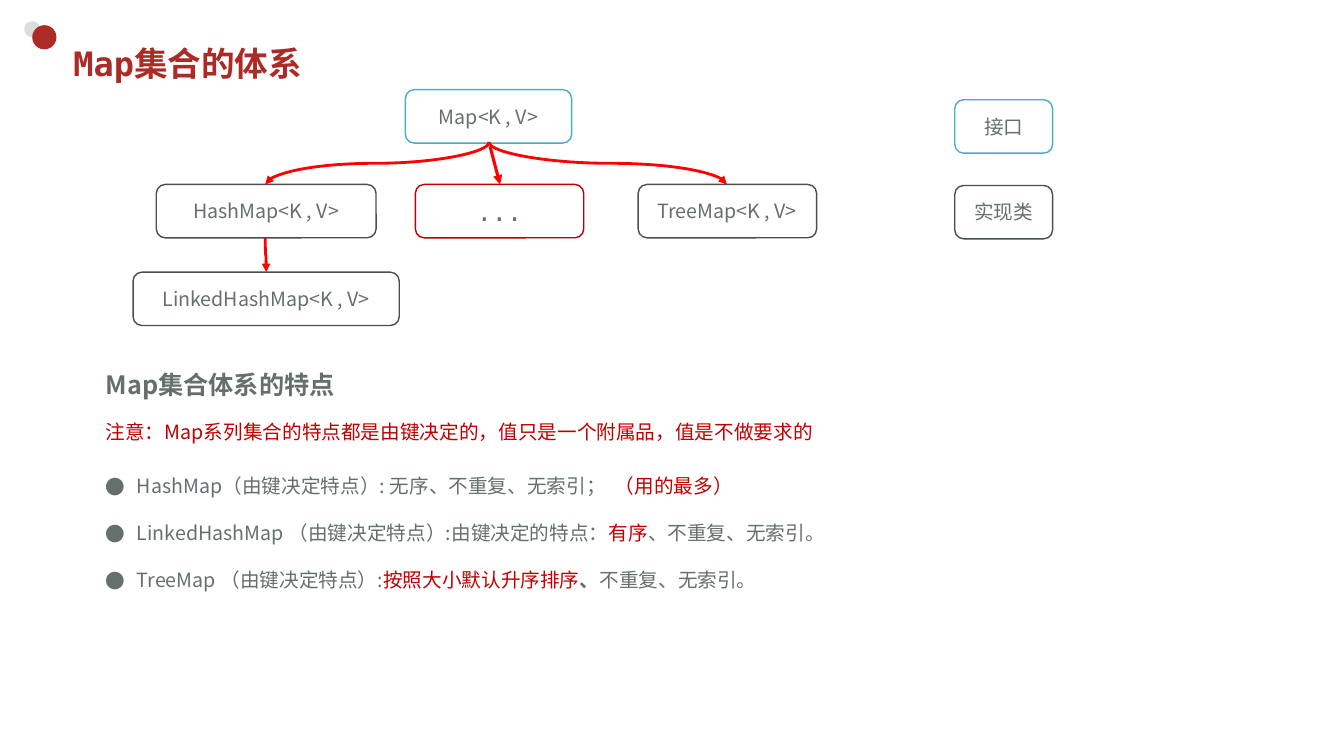
from lxml import etree
from pptx import Presentation
from pptx import util as u
from pptx.dml.color import RGBColor
from pptx.enum import shapes, text
from pptx.oxml.ns import qn

SANS, MONO = "Noto Sans CJK JP", "DejaVu Sans Mono"
GREY, RED, BRAND, ARROW = "65706E", "C00000", "AD2B26", "FF0000"
INTERFACE, CLASS = "4BACC6", "49504F"

DOTS = [(0.24, 0.21, 0.16, "DADDDC"), (0.32, 0.25, 0.24, BRAND)]

BOX_HEIGHT = 0.53
BOXES = [
    ("Map<K , V>", 4.02, 0.89, 1.65, INTERFACE, 14, SANS),
    ("HashMap<K , V>", 1.55, 1.83, 2.18, CLASS, 14, SANS),
    ("...", 4.12, 1.83, 1.67, RED, 18, MONO),
    ("TreeMap<K , V>", 6.33, 1.83, 1.77, CLASS, 14, SANS),
    ("LinkedHashMap<K , V>", 1.32, 2.7, 2.64, CLASS, 14, SANS),
    ("接口", 9.47, 0.99, 0.97, INTERFACE, 14, SANS),
    ("实现类", 9.47, 1.84, 0.97, CLASS, 14, SANS),
]
CURVES = [
    ((4.85, 1.41), (2.63, 1.83)),
    ((4.85, 1.41), (7.21, 1.83)),
    ((2.63, 2.36), (2.64, 2.7)),
]
STRAIGHT = ((4.86, 1.45), (4.96, 1.83))

TITLE = [("Map集合的体系", BRAND, True)]
HEADING = [("Map集合体系的特点", GREY, True)]
NOTICE = [("注意：Map系列集合的特点都是由键决定的，值只是一个附属品，值是不做要求的", RED, False)]
FEATURES = [
    [("HashMap（由键决定特点）: 无序、不重复、无索引；  ", GREY, False),
     ("（用的最多）", RED, False)],
    [("LinkedHashMap （由键决定特点）:由键决定的特点：", GREY, False),
     ("有序", RED, False),
     ("、不重复、无索引。", GREY, False)],
    [("TreeMap （由键决定特点）:", GREY, False),
     ("按照大小默认升序排序", RED, False),
     ("、", GREY, True),
     ("不重复、无索引。", GREY, False)],
]


def rgb(value):
    return RGBColor.from_string(value)


def write(paragraph, runs, size, face):
    for words, color, bold in runs:
        run = paragraph.add_run()
        run.text = words
        run.font.size = u.Pt(size)
        run.font.bold = bold
        run.font.color.rgb = rgb(color)
        run.font.name = face
        etree.SubElement(run.font._element, qn("a:ea"), typeface=SANS)


def add_figure(kind, left, top, width, height, fill, line=None):
    figure = slide.shapes.add_shape(
        kind, *map(u.Inches, (left, top, width, height)))
    figure.shadow.inherit = False
    figure.fill.solid()
    figure.fill.fore_color.rgb = rgb(fill)
    if line:
        figure.line.color.rgb = rgb(line)
        figure.line.width = u.Pt(1)
    else:
        figure.line.fill.background()
    return figure


def add_arrow(kind, start, end, weight):
    arrow = slide.shapes.add_connector(kind, *map(u.Inches, (*start, *end)))
    arrow.line.color.rgb = rgb(ARROW)
    arrow.line.width = u.Pt(weight)
    etree.SubElement(arrow.line._get_or_add_ln(), qn("a:tailEnd"), type="triangle")
    etree.SubElement(arrow._element.spPr, qn("a:effectLst"))
    return arrow


def add_drop_curve(start, end):
    (x1, y1), (x2, y2) = start, end
    mid_x, mid_y = (x1 + x2) / 2, (y1 + y2) / 2
    side = 1 if x2 > x1 else -1
    half_run, half_rise = side * (y2 - y1) / 2, abs(x2 - x1) / 2
    curve = add_arrow(shapes.MSO_CONNECTOR.CURVE,
                      (mid_x + half_run, mid_y - half_rise),
                      (mid_x - half_run, mid_y + half_rise), 2)
    degrees = 270 if side > 0 else 90
    curve._element.spPr.find(qn("a:xfrm")).set("rot", str(degrees * 60000))


def add_text(place, paragraphs, size, face=SANS, spacing=None, bullet=None, grow=True):
    frame = slide.shapes.add_textbox(*map(u.Inches, place)).text_frame
    frame.word_wrap = True
    if grow:
        frame.auto_size = text.MSO_AUTO_SIZE.SHAPE_TO_FIT_TEXT
    else:
        frame.vertical_anchor = text.MSO_ANCHOR.MIDDLE
    for index, runs in enumerate(paragraphs):
        paragraph = frame.add_paragraph() if index else frame.paragraphs[0]
        if bullet:
            props = paragraph._p.get_or_add_pPr()
            indent = u.Inches(0.31)
            props.set("marL", str(indent))
            props.set("indent", str(-indent))
            etree.SubElement(props, qn("a:buFont"), typeface=SANS)
            etree.SubElement(props, qn("a:buChar"), char=bullet)
        if spacing:
            paragraph.line_spacing = spacing
        write(paragraph, runs, size, face)


prs = Presentation()
prs.slide_width, prs.slide_height = u.Inches(13.33), u.Inches(7.5)
slide = prs.slides.add_slide(prs.slide_layouts[6])

for left, top, diameter, color in DOTS:
    add_figure(shapes.MSO_SHAPE.OVAL, left, top, diameter, diameter, color)

for label, left, top, width, outline, size, face in BOXES:
    box = add_figure(shapes.MSO_SHAPE.ROUNDED_RECTANGLE,
                     left, top, width, BOX_HEIGHT, "FFFFFF", outline)
    box.text_frame.vertical_anchor = text.MSO_ANCHOR.MIDDLE
    caption = box.text_frame.paragraphs[0]
    caption.alignment = text.PP_ALIGN.CENTER
    write(caption, [(label, GREY, False)], size, face)

for start, end in CURVES:
    add_drop_curve(start, end)
add_arrow(shapes.MSO_CONNECTOR.STRAIGHT, *STRAIGHT, 2.2)

add_text((0.63, 0.37, 11.75, 0.52), [TITLE], 24, MONO, grow=False)
add_text((0.95, 3.46, 2.64, 0.51), [HEADING], 18, spacing=1.5)
add_text((0.95, 4.12, 8.44, 0.34), [NOTICE], 14)
add_text((0.95, 4.42, 8.57, 1.45), FEATURES, 14, spacing=2.0, bullet="●")

prs.save("out.pptx")
